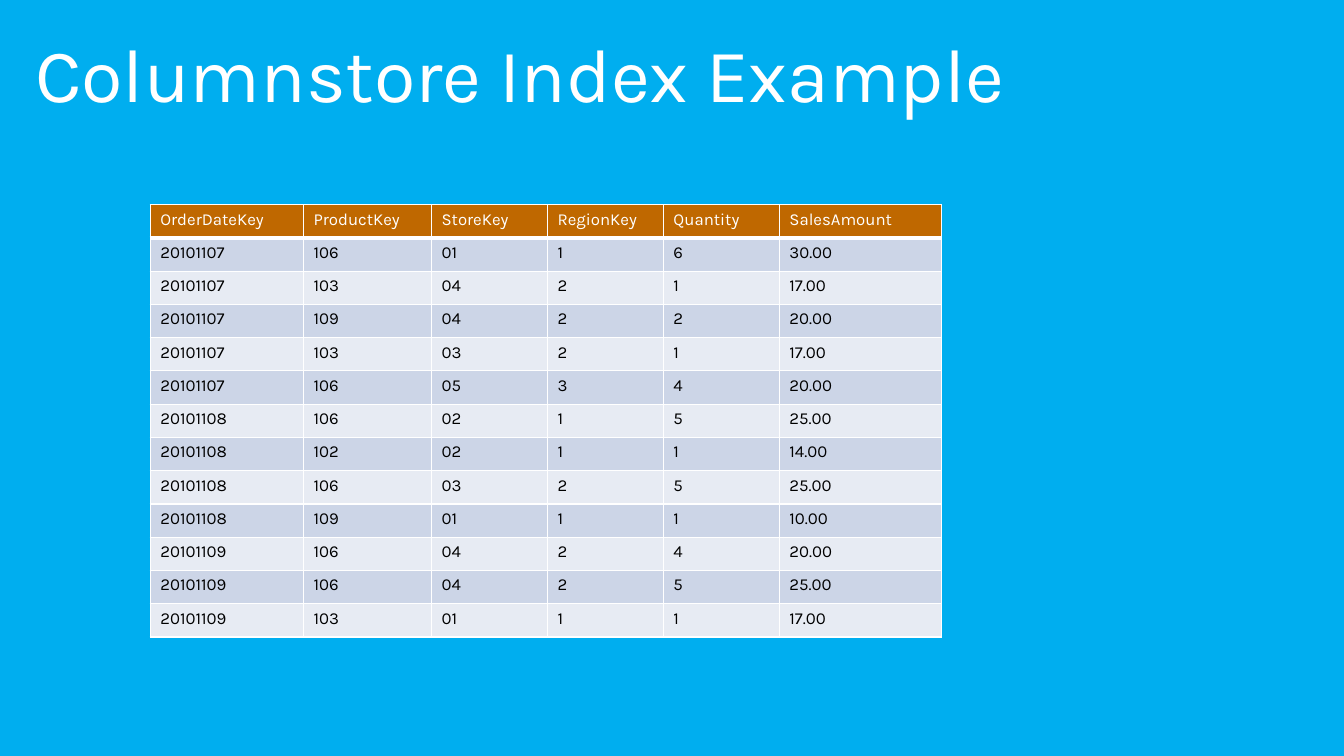
"""Build the Columnstore Index Example slide."""
from lxml.etree import SubElement
from pptx import Presentation
from pptx.dml.color import RGBColor
from pptx.enum.text import MSO_ANCHOR, PP_ALIGN
from pptx.oxml.ns import qn
from pptx.util import Inches, Pt

BLUE = RGBColor(0x00, 0xAE, 0xEF)
WHITE = RGBColor(0xFF, 0xFF, 0xFF)
BLACK = RGBColor(0x00, 0x00, 0x00)
ORANGE = RGBColor(0xBF, 0x68, 0x00)
DARK_BAND = RGBColor(0xCC, 0xD5, 0xE7)
LIGHT_BAND = RGBColor(0xE7, 0xEB, 0xF3)

COLUMN_WIDTHS = [1.52, 1.27, 1.15, 1.15, 1.15, 1.61]
ROW_HEIGHT = 0.33
SALES = [
    ("OrderDateKey", "ProductKey", "StoreKey", "RegionKey", "Quantity", "SalesAmount"),
    ("20101107", "106", "01", "1", "6", "30.00"),
    ("20101107", "103", "04", "2", "1", "17.00"),
    ("20101107", "109", "04", "2", "2", "20.00"),
    ("20101107", "103", "03", "2", "1", "17.00"),
    ("20101107", "106", "05", "3", "4", "20.00"),
    ("20101108", "106", "02", "1", "5", "25.00"),
    ("20101108", "102", "02", "1", "1", "14.00"),
    ("20101108", "106", "03", "2", "5", "25.00"),
    ("20101108", "109", "01", "1", "1", "10.00"),
    ("20101109", "106", "04", "2", "4", "20.00"),
    ("20101109", "106", "04", "2", "5", "25.00"),
    ("20101109", "103", "01", "1", "1", "17.00"),
]


def write_text(text_frame, text, size=12, color=BLACK):
    paragraph = text_frame.paragraphs[0]
    paragraph.alignment = PP_ALIGN.LEFT
    run = paragraph.add_run()
    run.text = text
    run.font.name = "Karla"
    run.font.size = Pt(size)
    run.font.bold = False
    run.font.color.rgb = color


def add_borders(cell, bottom_width=1):
    properties = cell._tc.get_or_add_tcPr()
    widths = {"a:lnL": 1, "a:lnR": 1, "a:lnT": 1, "a:lnB": bottom_width}
    for side, width in widths.items():
        line = SubElement(properties, qn(side), w=str(Pt(width)))
        fill = SubElement(line, qn("a:solidFill"))
        SubElement(fill, qn("a:srgbClr"), val=str(WHITE))


presentation = Presentation()
presentation.slide_width = Inches(13.33)
presentation.slide_height = Inches(7.5)
slide = presentation.slides.add_slide(presentation.slide_layouts[5])
slide.background.fill.solid()
slide.background.fill.fore_color.rgb = BLUE

title = slide.shapes.title
title.left, title.top = Inches(0.25), Inches(0.22)
title.width, title.height = Inches(12.41), Inches(1.45)
title.text_frame.vertical_anchor = MSO_ANCHOR.TOP
write_text(title.text_frame, "Columnstore Index Example", size=54, color=WHITE)

table = slide.shapes.add_table(
    len(SALES), len(COLUMN_WIDTHS), Inches(1.49), Inches(2.03),
    Inches(sum(COLUMN_WIDTHS)), Inches(ROW_HEIGHT * len(SALES)),
).table
for column, width in zip(table.columns, COLUMN_WIDTHS):
    column.width = Inches(width)

for row_index, values in enumerate(SALES):
    table.rows[row_index].height = Inches(ROW_HEIGHT)
    is_header = row_index == 0
    band = DARK_BAND if row_index % 2 else LIGHT_BAND
    for column_index, value in enumerate(values):
        cell = table.cell(row_index, column_index)
        write_text(cell.text_frame, value, color=WHITE if is_header else BLACK)
        add_borders(cell, bottom_width=3 if is_header else 1)
        cell.fill.solid()
        cell.fill.fore_color.rgb = ORANGE if is_header else band

presentation.save("out.pptx")
